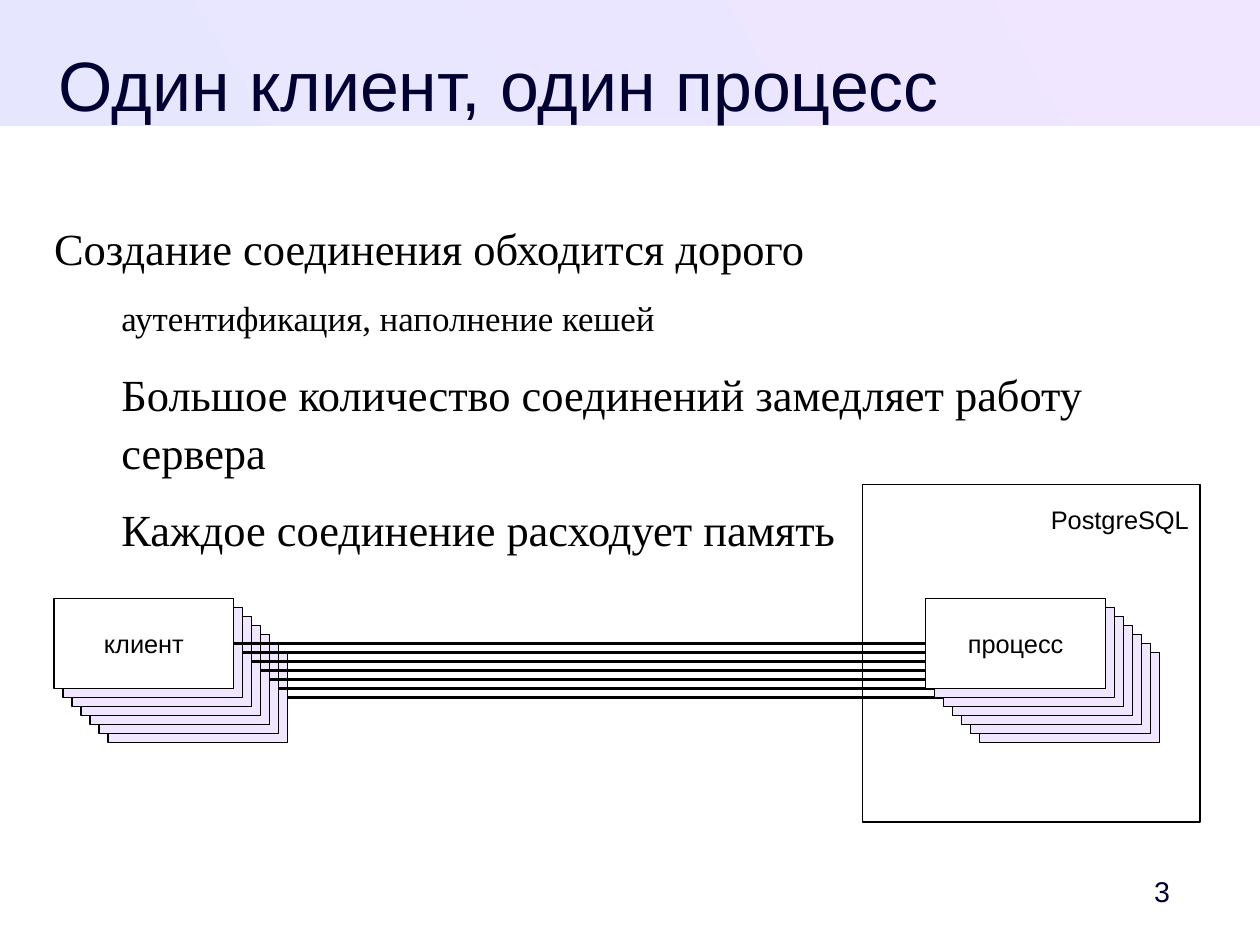
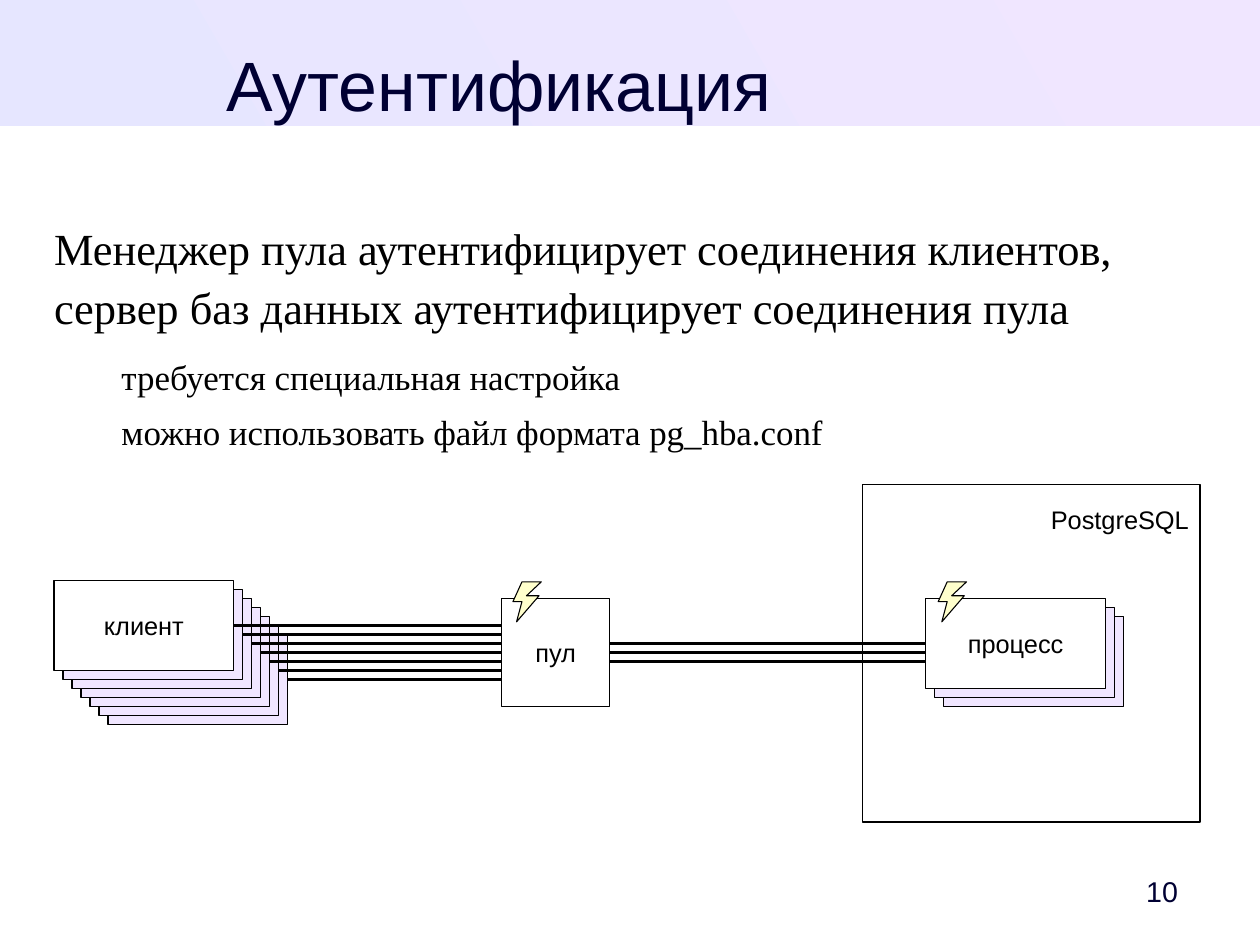
"""Build two slides on client connections and pool authentication."""
from copy import deepcopy

from lxml.etree import SubElement
from pptx import Presentation
from pptx.dml.color import RGBColor
from pptx.enum.shapes import MSO_CONNECTOR, MSO_SHAPE
from pptx.enum.text import MSO_ANCHOR, MSO_AUTO_SIZE, PP_ALIGN
from pptx.oxml.ns import qn
from pptx.util import Cm, Pt

COLORS = {
    "ink": "000000",
    "heading": "000033",
    "paper": "FFFFFF",
    "band_start": "E6E6FF",
    "lilac": "F0E6FF",
    "bolt": "FFFFCC",
}
RGB = {name: RGBColor.from_string(value) for name, value in COLORS.items()}
STEP = 0.2
CARD_W, CARD_H = 4, 2
CLIENT_X, PROCESS_X, PROCESS_Y = 1.2, 20.57, 13.3
POOL_X, POOL_SIZE = 11.15, 2.4
BOLT_OUTLINE = [(0, 0.44), (0.2, 0), (0.63, 0), (0.3, 0.31), (0.58, 0.31), (0.08, 0.89), (0.2, 0.44)]

SLIDES = [
    {
        "title": "Один клиент, один процесс",
        "number": "3",
        "points": [
            ("Создание соединения обходится дорого", 28, 0, 11.3),
            ("аутентификация, наполнение кешей", 22, 1.5, 14.2),
            ("Большое количество соединений замедляет работу сервера", 28, 1.5, 11.3),
            ("Каждое соединение расходует память", 28, 1.5, 11.3),
        ],
        "client_y": 13.3,
        "processes": 7,
        "pool": False,
    },
    {
        "title": "Аутентификация",
        "number": "10",
        "points": [
            ("Менеджер пула аутентифицирует соединения клиентов,\v"
             "сервер баз данных аутентифицирует соединения пула", 28, 0, 11.3),
            ("требуется специальная настройка", 22, 1.5, 5.7),
            ("можно использовать файл формата pg_hba.conf", 22, 1.5, 5.7),
        ],
        "client_y": 12.9,
        "processes": 3,
        "pool": True,
    },
]


def write(frame, text, size=16, font="Arial", color="ink", align=PP_ALIGN.CENTER,
          anchor=MSO_ANCHOR.MIDDLE, wrap=False, margins=None, spacing=1, after=0,
          indent=0, first=True):
    """Write one formatted paragraph into a text frame."""
    frame.auto_size = MSO_AUTO_SIZE.NONE
    frame.word_wrap = wrap
    frame.vertical_anchor = anchor
    if margins:
        frame.margin_left, frame.margin_top, frame.margin_right, frame.margin_bottom = map(Cm, margins)
    paragraph = frame.paragraphs[0] if first else frame.add_paragraph()
    paragraph.text = text
    paragraph.alignment = align
    paragraph.line_spacing = spacing
    paragraph.space_before, paragraph.space_after = Pt(0), Pt(after)
    properties = paragraph._p.get_or_add_pPr()
    properties.set("marL", str(Cm(indent)))
    properties.set("indent", "0")
    SubElement(properties, qn("a:buNone"))
    for run in paragraph.runs:
        run.font.name, run.font.size = font, Pt(size)
        run.font.color.rgb = RGB[color]
    for line_break in paragraph._p.findall(qn("a:br")):
        line_break.append(deepcopy(paragraph.runs[0]._r.rPr))


def add_box(slide, left, top, width, height, fill="paper"):
    """Add a rectangle with a hairline outline."""
    box = slide.shapes.add_shape(MSO_SHAPE.RECTANGLE, Cm(left), Cm(top), Cm(width), Cm(height))
    box.shadow.inherit = False
    box.fill.solid()
    box.fill.fore_color.rgb = RGB[fill]
    box.line.color.rgb = RGB["ink"]
    box.line.width = Pt(0)
    return box


deck = Presentation()
deck.slide_width, deck.slide_height = Cm(28), Cm(21)
layout = deck.slide_layouts[1]
places = [(1.2, 0.74, 19.8, 1.75), (1.2, 4.8, 25.6, 14.5)]
for holder, place in zip(layout.placeholders, places):
    holder.left, holder.top, holder.width, holder.height = map(Cm, place)

for content in SLIDES:
    slide = deck.slides.add_slide(layout)
    if content is SLIDES[0]:
        band = add_box(slide, 0, 0, 28, 2.8)
        band.line.fill.background()
        band.fill.gradient()
        band.fill.gradient_angle = 30
        for stop, position, shade in zip(band.fill.gradient_stops, (0, 1), ("band_start", "lilac")):
            stop.position = position
            stop.color.rgb = RGB[shade]
        band.element.nvSpPr.cNvPr.set("id", "20")
        layout.shapes.element.insert(2, band.element)

    write(slide.shapes.title.text_frame, content["title"], size=44, color="heading",
          anchor=MSO_ANCHOR.TOP, wrap=True, margins=(0, 0, 0, 0), spacing=1.1)
    points = slide.placeholders[1].text_frame
    for index, (text, size, indent, after) in enumerate(content["points"]):
        write(points, text, size=size, font="Times New Roman", align=PP_ALIGN.LEFT,
              anchor=MSO_ANCHOR.TOP, wrap=True, margins=(0, 0, 0, 0), spacing=1.1,
              after=after, indent=indent, first=index == 0)
    number = slide.shapes.add_textbox(Cm(24.6), Cm(19.2), Cm(2.2), Cm(1.2))
    write(number.text_frame, content["number"], size=18, color="heading", wrap=True,
          margins=(0.25, 0.13, 0, 0.13))

    server = add_box(slide, 19.17, 10.77, 7.5, 7.5)
    write(server.text_frame, "PostgreSQL", align=PP_ALIGN.RIGHT, anchor=MSO_ANCHOR.TOP,
          margins=(0.25, 0.43, 0.25, 0.13))

    client_y, processes = content["client_y"], content["processes"]
    stacks = [("клиент", CLIENT_X, client_y, 7), ("процесс", PROCESS_X, PROCESS_Y, processes)]
    client_edge = CLIENT_X + CARD_W
    if content["pool"]:
        wires = [(client_edge, STEP, POOL_X, 0, client_y, 7),
                 (POOL_X + POOL_SIZE, 0, PROCESS_X, STEP, PROCESS_Y, processes)]
    else:
        wires = [(client_edge, STEP, PROCESS_X, STEP, client_y, 7)]

    for label, left, top, count in stacks:
        if label == "процесс":
            for start, start_step, end, end_step, wire_top, wire_count in wires:
                for index in range(wire_count):
                    y = Cm(wire_top + CARD_H / 2 + STEP * index)
                    wire = slide.shapes.add_connector(
                        MSO_CONNECTOR.STRAIGHT, Cm(start + start_step * index), y,
                        Cm(end + end_step * index), y)
                    wire.line.color.rgb = RGB["ink"]
                    wire.line.width = Pt(0)
                    SubElement(wire.element.spPr, qn("a:effectLst"))
        for index in reversed(range(count)):
            card = add_box(slide, left + STEP * index, top + STEP * index, CARD_W, CARD_H,
                           "lilac" if index else "paper")
        write(card.text_frame, label)

    if content["pool"]:
        pool = add_box(slide, POOL_X, PROCESS_Y, POOL_SIZE, POOL_SIZE)
        write(pool.text_frame, "пул")
        for bolt_x in (11.4, 20.85):
            outline = [(Cm(bolt_x + x), Cm(12.93 + y)) for x, y in BOLT_OUTLINE]
            builder = slide.shapes.build_freeform(*outline[0])
            builder.add_line_segments(outline[1:], close=True)
            bolt = builder.convert_to_shape()
            bolt.shadow.inherit = False
            bolt.fill.solid()
            bolt.fill.fore_color.rgb = RGB["bolt"]
            bolt.line.color.rgb = RGB["ink"]
            bolt.line.width = Pt(0.68)

deck.save("out.pptx")
